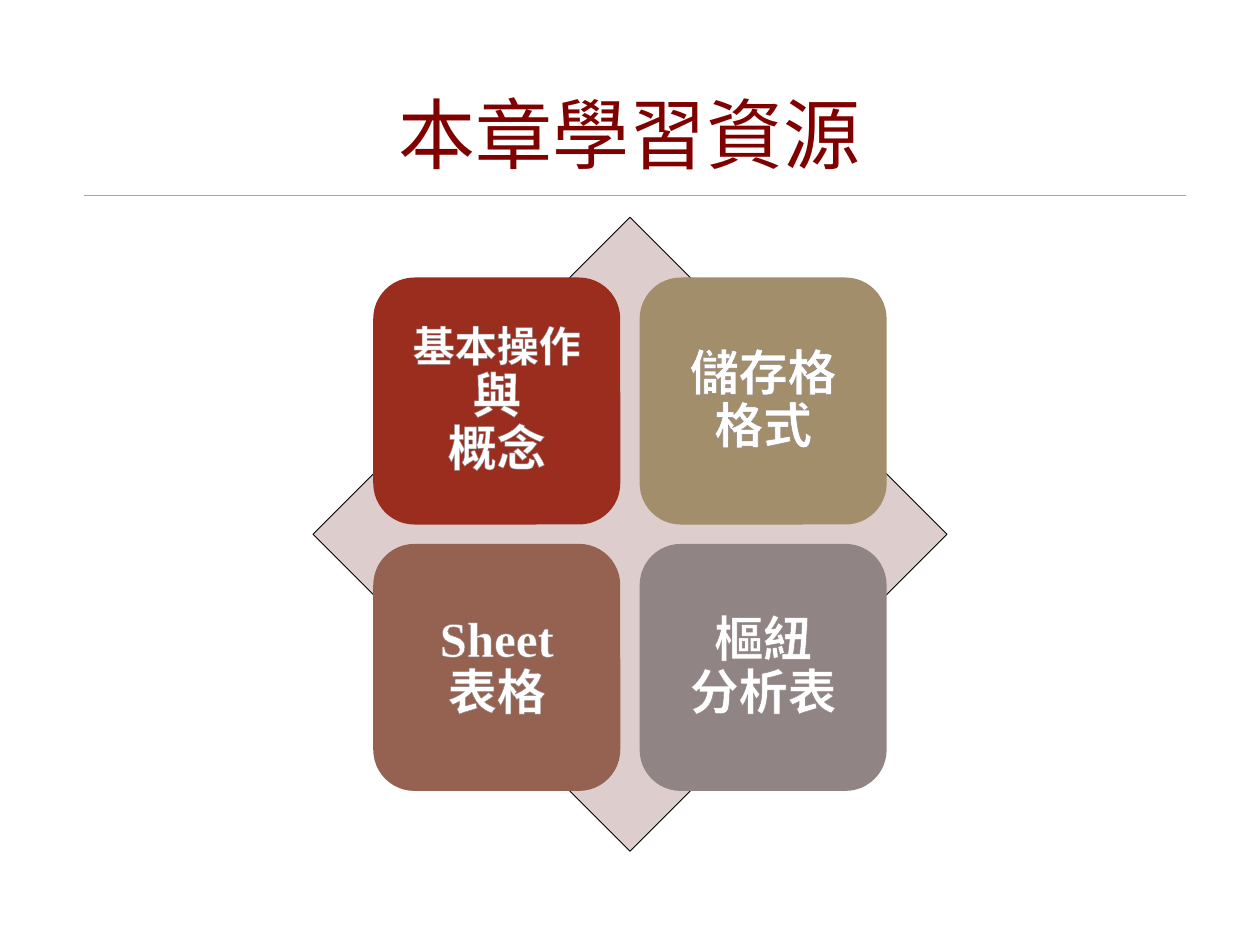
from dataclasses import dataclass

import pptx
import pptx.dml.color
import pptx.enum.shapes
import pptx.enum.text
import pptx.oxml
import pptx.oxml.ns
import pptx.util
from pptx.util import Cm, Pt

FONT = "Times New Roman"
CENTER_X, CENTER_Y = 12.7, 10.77
DIAMOND_SIZE = 12.78
CARD_SIZE, CARD_GAP = 4.98, 0.39
TEXT_OUTLINE = "918485"


@dataclass
class Line:
    text: str
    size: int = 28


@dataclass
class Card:
    column: int
    row: int
    fill: str
    lines: list[Line]


CARDS = [
    Card(0, 0, "9B2D1F", [Line("基本操作", 24), Line("與"), Line("概念")]),
    Card(1, 0, "A28E6A", [Line("儲存格格式")]),
    Card(0, 1, "956251", [Line("Sheet"), Line("表格")]),
    Card(1, 1, "918485", [Line("樞紐"), Line("分析表")]),
]


def color(value: str) -> pptx.dml.color.RGBColor:
    return pptx.dml.color.RGBColor.from_string(value)


def add_span(para, text: str, size: int, fill: str, bold: bool = False):
    span = para.add_run()
    span.text = text
    span.font.name = FONT
    span.font.size = Pt(size)
    span.font.bold = bold
    span.font.color.rgb = color(fill)
    return span


def outline_text(span) -> None:
    """Give the letters of a run a thin contour."""
    outline = pptx.oxml.parse_xml(
        f'<a:ln {pptx.oxml.ns.nsdecls("a")} w="{Pt(0.8)}"><a:solidFill>'
        f'<a:srgbClr val="{TEXT_OUTLINE}"/></a:solidFill></a:ln>'
    )
    span.font._element.insert(0, outline)


def format_frame(frame, inset: float):
    """Centre the text both ways and return its paragraph."""
    frame.word_wrap = True
    frame.vertical_anchor = pptx.enum.text.MSO_ANCHOR.MIDDLE
    frame.margin_left = frame.margin_right = Cm(inset)
    frame.margin_top = frame.margin_bottom = Cm(inset)
    para = frame.paragraphs[0]
    para.alignment = pptx.enum.text.PP_ALIGN.CENTER
    para.line_spacing = 0.9
    return para


def add_title(page, text: str) -> None:
    title = page.shapes.title
    title.left, title.top = Cm(1.75), Cm(1.34)
    title.width, title.height = Cm(21.9), Cm(2.92)
    add_span(format_frame(title.text_frame, 0.25), text, 44, "800000")


def add_rule(page) -> None:
    rule = page.shapes.add_connector(
        pptx.enum.shapes.MSO_CONNECTOR.STRAIGHT, Cm(1.7), Cm(3.93), Cm(23.9), Cm(3.93)
    )
    rule.line.color.rgb = color("A6A6A6")
    rule.line.width = Pt(0.5)
    rule._element.spPr.append(pptx.oxml.parse_xml(f'<a:effectLst {pptx.oxml.ns.nsdecls("a")}/>'))


def add_square(page, kind, left: float, top: float, size: float, fill: str):
    box = page.shapes.add_shape(kind, Cm(left), Cm(top), Cm(size), Cm(size))
    box.shadow.inherit = False
    box.fill.solid()
    box.fill.fore_color.rgb = color(fill)
    return box


def add_diamond(page) -> None:
    diamond = add_square(
        page, pptx.enum.shapes.MSO_SHAPE.DIAMOND,
        CENTER_X - DIAMOND_SIZE / 2, CENTER_Y - DIAMOND_SIZE / 2, DIAMOND_SIZE, "DECDCD",
    )
    diamond.line.color.rgb = color("000000")
    diamond.line.width = Pt(0.5)


def add_card(page, card: Card) -> None:
    step = CARD_SIZE + CARD_GAP
    left = CENTER_X - CARD_GAP / 2 - CARD_SIZE + card.column * step
    top = CENTER_Y - CARD_GAP / 2 - CARD_SIZE + card.row * step
    box = add_square(
        page, pptx.enum.shapes.MSO_SHAPE.ROUNDED_RECTANGLE, left, top, CARD_SIZE, card.fill
    )
    box.line.fill.background()
    para = format_frame(box.text_frame, 0.3)
    for index, line in enumerate(card.lines):
        if index:
            para.add_line_break()
        outline_text(add_span(para, line.text, line.size, "FFFFFF", bold=True))


def main() -> None:
    deck = pptx.Presentation()
    deck.slide_width, deck.slide_height = Cm(25.4), Cm(19.05)
    page = deck.slides.add_slide(deck.slide_layouts.get_by_name("Title Only"))
    add_rule(page)
    add_title(page, "本章學習資源")
    add_diamond(page)
    for card in CARDS:
        add_card(page, card)
    deck.save("out.pptx")


if __name__ == "__main__":
    main()
